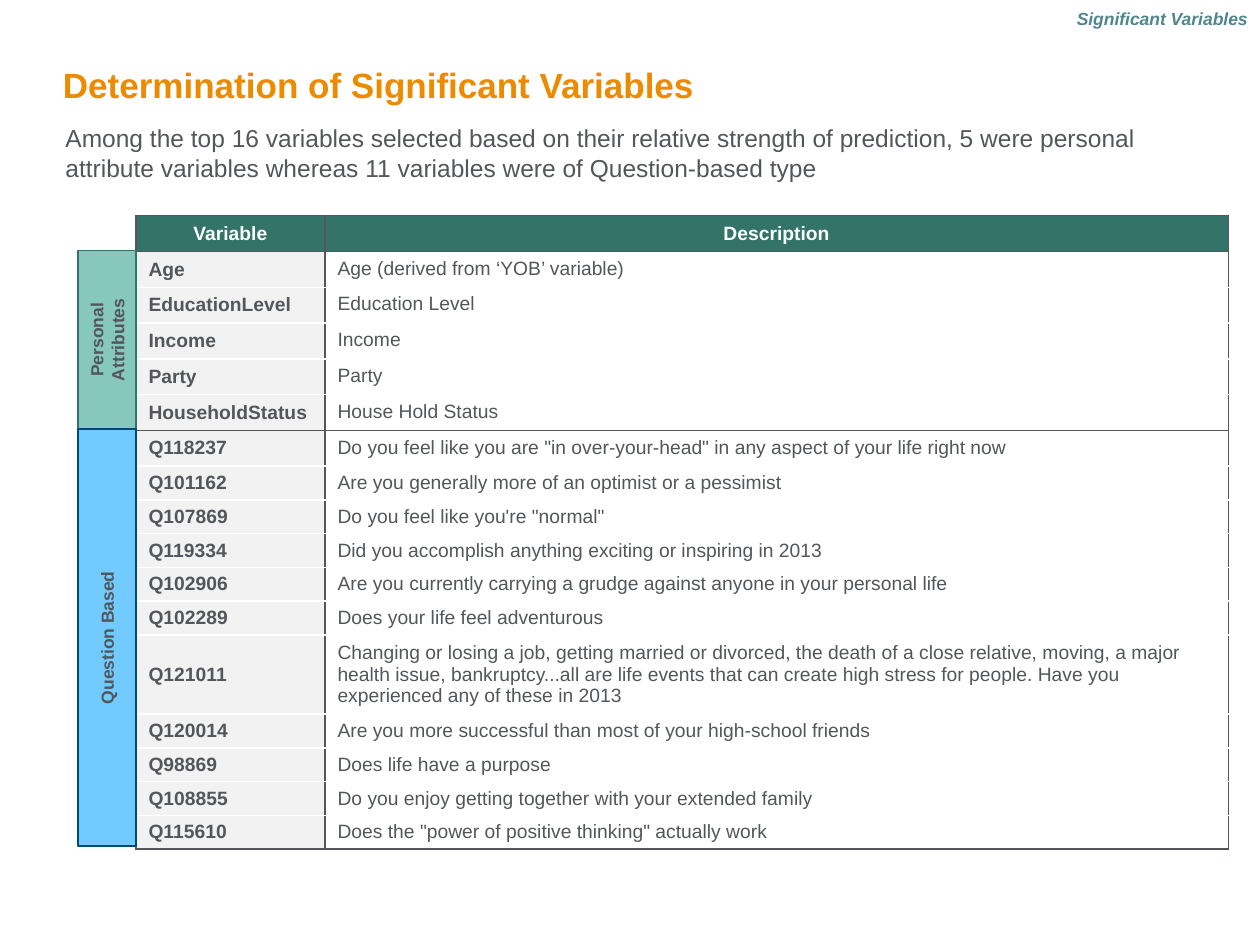
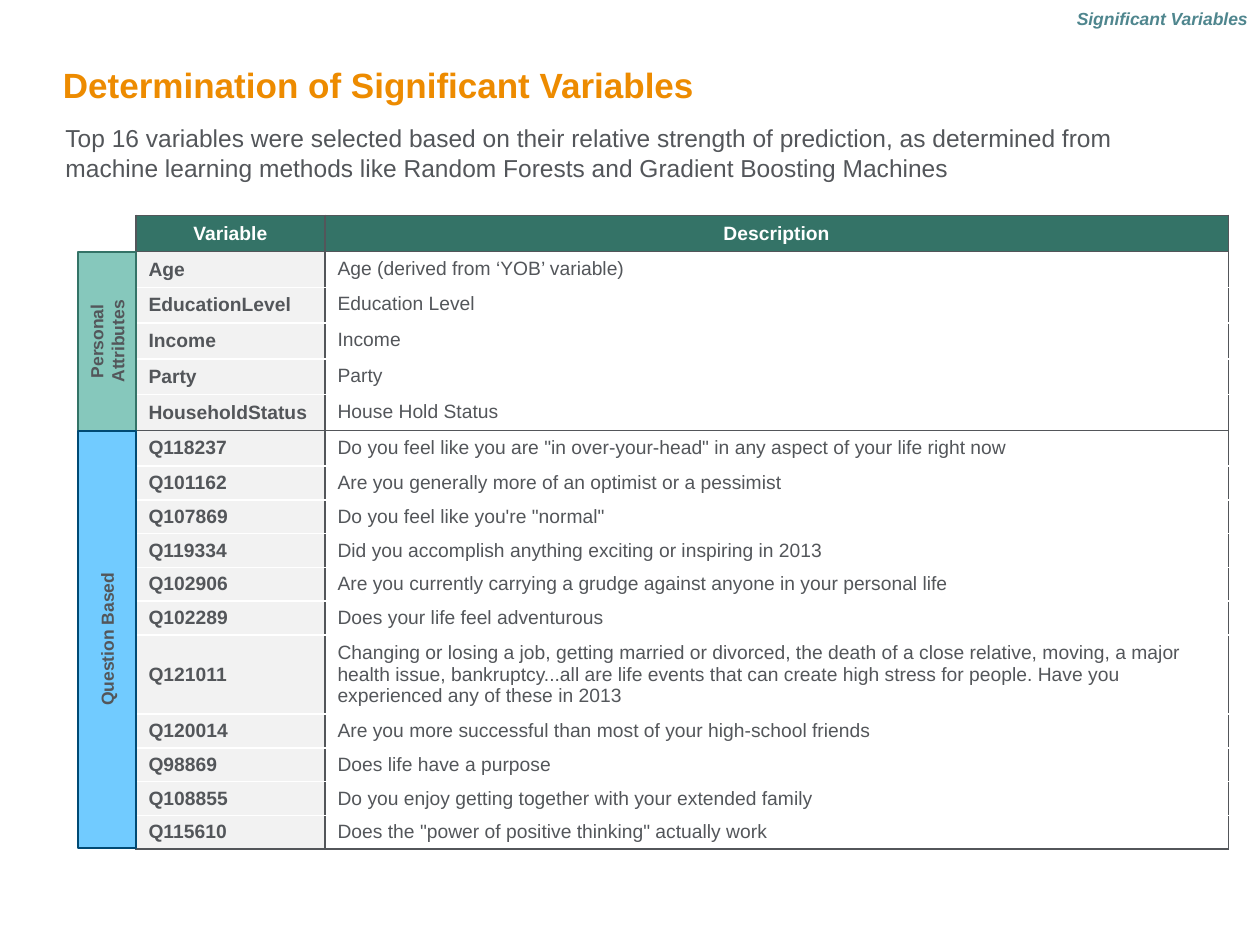
from lxml.etree import SubElement
from pptx import Presentation
from pptx.dml.color import RGBColor
from pptx.enum.shapes import MSO_SHAPE as Shape
from pptx.enum.text import MSO_ANCHOR as Anchor, PP_ALIGN as Align
from pptx.oxml.ns import qn
from pptx.util import Cm, Pt

COLORS = {
    "title": "ED8B00", "text": "53565A", "section": "4F868E", "white": "FFFFFF",
    "header": "347367", "variable": "F2F2F2", "personal": "86C8BC",
    "question": "71CBFF", "question_edge": "004A74",
}
PERSONAL = [
    ("Age", "Age (derived from ‘YOB’ variable)"),
    ("EducationLevel", "Education Level"),
    ("Income", "Income"),
    ("Party", "Party"),
    ("HouseholdStatus", "House Hold Status"),
]
QUESTIONS = [
    ("Q118237", 'Do you feel like you are "in over-your-head" in any aspect of your life right now'),
    ("Q101162", "Are you generally more of an optimist or a pessimist"),
    ("Q107869", 'Do you feel like you\'re "normal"'),
    ("Q119334", "Did you accomplish anything exciting or inspiring in 2013"),
    ("Q102906", "Are you currently carrying a grudge against anyone in your personal life"),
    ("Q102289", "Does your life feel adventurous"),
    ("Q121011", "Changing or losing a job, getting married or divorced, the death of a close "
                "relative, moving, a major health issue, bankruptcy...all are life events that can "
                "create high stress for people. Have you experienced any of these in 2013"),
    ("Q120014", "Are you more successful than most of your high-school friends"),
    ("Q98869", "Does life have a purpose"),
    ("Q108855", "Do you enjoy getting together with your extended family"),
    ("Q115610", 'Does the "power of positive thinking" actually work'),
]
ROWS = [("Variable", "Description")] + PERSONAL + QUESTIONS
FIRST_QUESTION = len(PERSONAL) + 1
TALL_QUESTION = "Q121011"
SECTION_STARTS = (0, 1, FIRST_QUESTION)
SECTION_ENDS = (0, len(PERSONAL), len(ROWS) - 1)
SUMMARIES = [
    "Among the top 16 variables selected based on their relative strength of prediction, "
    "5 were personal attribute variables whereas 11 variables were of Question-based type",
    "Top 16 variables were selected based on their relative strength of prediction, as determined "
    "from machine learning methods like Random Forests and Gradient Boosting Machines",
]


def rgb(name):
    return RGBColor.from_string(COLORS[name])


def write(frame, text, size=11, color="text", bold=False, italic=False, align=Align.LEFT):
    paragraph = frame.paragraphs[0]
    paragraph.alignment = align
    run = paragraph.add_run()
    run.text = text
    font = run.font
    font.name, font.size, font.bold, font.italic = "Arial", Pt(size), bold, italic
    font.color.rgb = rgb(color)


def draw_borders(cell, top, bottom):
    properties = cell._tc.get_or_add_tcPr()
    for side, color in zip("LRTB", ("text", "text", top, bottom)):
        edge = SubElement(properties, qn(f"a:ln{side}"), w=str(Pt(1)))
        fill = SubElement(edge, qn("a:solidFill"))
        SubElement(fill, qn("a:srgbClr"), val=COLORS[color])


def row_height(index):
    if index == 0:
        return 0.73
    if index <= FIRST_QUESTION:
        return 0.72
    return 1.6 if ROWS[index][0] == TALL_QUESTION else 0.68


class Deck:
    """Hold the shared style and the slide being filled."""

    def __init__(self):
        self.presentation = Presentation()
        self.presentation.slide_width, self.presentation.slide_height = Cm(25.4), Cm(19.05)
        self.slide = None

    def new_slide(self):
        self.slide = self.presentation.slides.add_slide(self.presentation.slide_layouts[6])

    def label(self, text, left, top, width, height, anchor=Anchor.TOP, inset=True, **style):
        frame = self.slide.shapes.add_textbox(
            Cm(left), Cm(top), Cm(width), Cm(height)).text_frame
        frame.word_wrap = True
        frame.vertical_anchor = anchor
        if not inset:
            frame.margin_left = frame.margin_right = frame.margin_top = frame.margin_bottom = 0
        write(frame, text, **style)

    def group_band(self, text, top, length, fill, edge):
        left, thickness = 1.57, 1.17
        shift = (length - thickness) / 2
        band = self.slide.shapes.add_shape(
            Shape.RECTANGLE, Cm(left - shift), Cm(top + shift), Cm(length), Cm(thickness))
        band.rotation = 270
        band.shadow.inherit = False
        band.fill.solid()
        band.fill.fore_color.rgb = rgb(fill)
        band.line.color.rgb = rgb(edge)
        band.line.width = Pt(1)
        band.text_frame.word_wrap = True
        band.text_frame.vertical_anchor = Anchor.MIDDLE
        write(band.text_frame, text, size=10, bold=True, align=Align.CENTER)

    def variable_table(self):
        heights = [row_height(index) for index in range(len(ROWS))]
        table = self.slide.shapes.add_table(
            len(ROWS), 2, Cm(2.74), Cm(4.34), Cm(22.02), Cm(sum(heights))).table
        table.first_row = table.horz_banding = False
        table.columns[0].width, table.columns[1].width = Cm(3.81), Cm(18.21)
        for index, (entry, height) in enumerate(zip(ROWS, heights)):
            table.rows[index].height = Cm(height)
            for column, text in enumerate(entry):
                self.table_cell(table.cell(index, column), text, index, column)

    def table_cell(self, cell, text, index, column):
        is_header, is_variable = index == 0, column == 0
        draw_borders(cell, "text" if index in SECTION_STARTS else "white",
                     "text" if index in SECTION_ENDS else "white")
        cell.fill.solid()
        cell.fill.fore_color.rgb = rgb(
            "header" if is_header else "variable" if is_variable else "white")
        is_top = not is_header and not is_variable and index <= FIRST_QUESTION
        cell.vertical_anchor = Anchor.TOP if is_top else Anchor.MIDDLE
        if index > FIRST_QUESTION:
            cell.margin_top = cell.margin_bottom = Cm(0.1)
            cell.margin_right = Cm(0.13)
        write(cell.text_frame, text, bold=is_header or is_variable,
              color="white" if is_header else "text",
              align=Align.CENTER if is_header else Align.LEFT)


def main():
    deck = Deck()
    for summary, bands_top in zip(SUMMARIES, (5.05, 5.08)):
        deck.new_slide()
        deck.label("Determination of Significant Variables", 1.27, 1.27, 22.86, 0.86,
                   anchor=Anchor.BOTTOM, inset=False, size=20, color="title", bold=True)
        deck.label(summary, 1.07, 2.36, 22.43, 1.45, size=14)
        deck.label("Significant Variables", 19.69, 0, 5.71, 0.76, anchor=Anchor.MIDDLE,
                   size=10, color="section", bold=True, italic=True, align=Align.RIGHT)
        deck.variable_table()
        personal_length = 3.6
        deck.group_band("Personal Attributes", bands_top, personal_length, "personal", "header")
        deck.group_band("Question Based", bands_top + personal_length, 8.41,
                        "question", "question_edge")
    deck.presentation.save("out.pptx")


if __name__ == "__main__":
    main()
